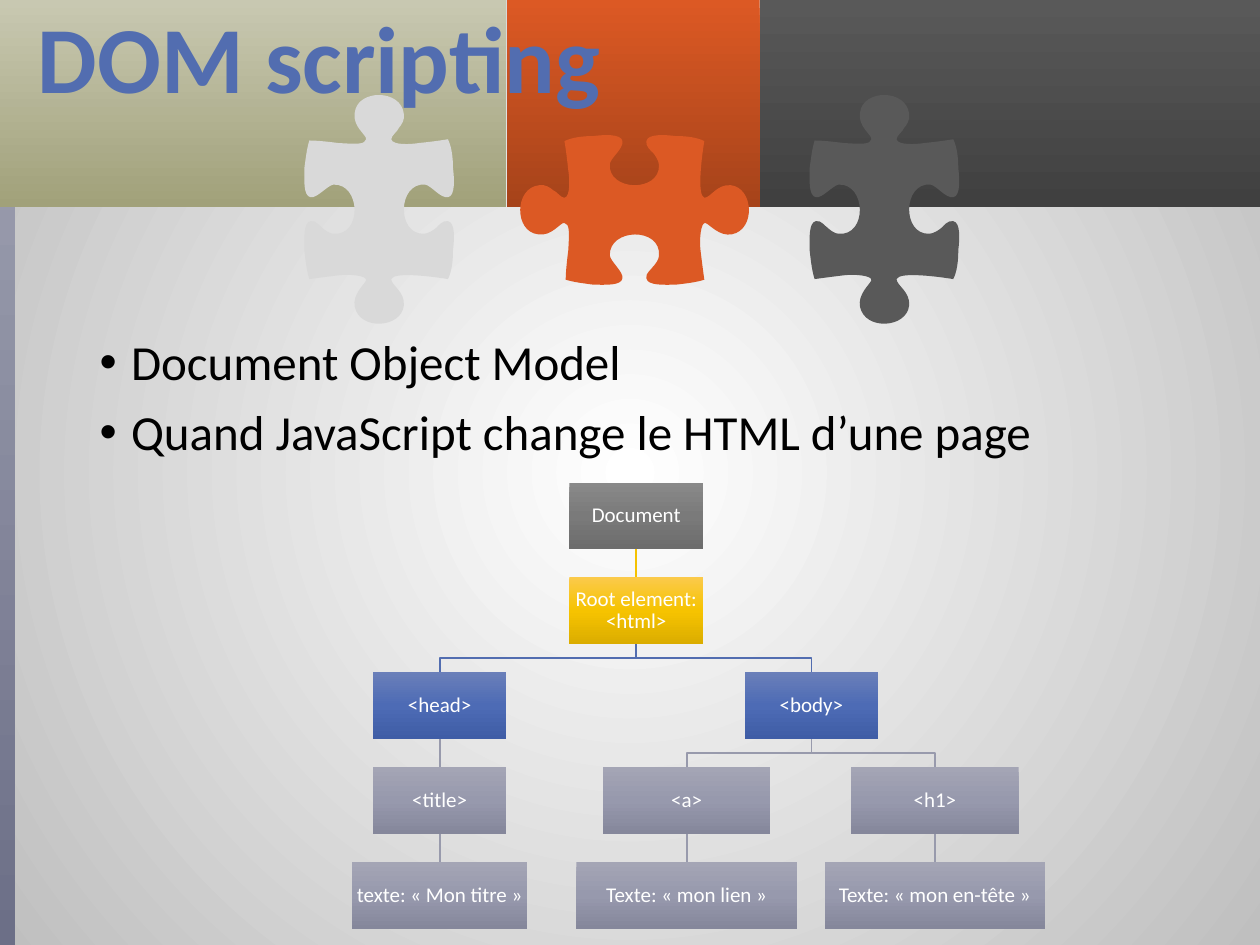
from lxml import etree
from pptx import Presentation
from pptx.dml.color import RGBColor
from pptx.enum.shapes import MSO_SHAPE
from pptx.enum.text import MSO_ANCHOR, MSO_AUTO_SIZE, PP_ALIGN
from pptx.oxml.ns import qn
from pptx.util import Inches, Pt

RECT = MSO_SHAPE.RECTANGLE
MIDDLE = MSO_ANCHOR.MIDDLE
NO_AUTOFIT = MSO_AUTO_SIZE.NONE
LEFT, CENTER = PP_ALIGN.LEFT, PP_ALIGN.CENTER

FONT = "Calibri"
BLACK = RGBColor(0x00, 0x00, 0x00)
WHITE = RGBColor(0xFF, 0xFF, 0xFF)
SILVER = RGBColor(0xBF, 0xBF, 0xBF)
LIGHT_GRAY = RGBColor(0xD9, 0xD9, 0xD9)
DARK_GRAY = RGBColor(0x59, 0x59, 0x59)
CHARCOAL = RGBColor(0x40, 0x40, 0x40)
ORANGE = RGBColor(0xDC, 0x59, 0x24)
RUST = RGBColor(0xA6, 0x43, 0x1A)
SAND = RGBColor(0xC8, 0xC8, 0xB1)
OLIVE = RGBColor(0xA1, 0xA1, 0x7A)
SLATE = RGBColor(0x6C, 0x6F, 0x87)
LIGHT_SLATE = RGBColor(0xA2, 0xA4, 0xB4)
BLUE = RGBColor(0x52, 0x6D, 0xB0)
GOLD = RGBColor(0xF5, 0xC2, 0x01)
MAUVE = RGBColor(0x98, 0x9A, 0xAC)

GRAY_STOPS = (RGBColor(0x89, 0x89, 0x89), RGBColor(0x7A, 0x7A, 0x7A), RGBColor(0x6C, 0x6C, 0x6C))
GOLD_STOPS = (RGBColor(0xFB, 0xCA, 0x4B), RGBColor(0xF6, 0xC3, 0x00), RGBColor(0xDB, 0xAD, 0x00))
BLUE_STOPS = (RGBColor(0x6A, 0x7F, 0xB9), RGBColor(0x4D, 0x6B, 0xB5), RGBColor(0x3F, 0x5D, 0xA6))
MAUVE_STOPS = (RGBColor(0xA4, 0xA5, 0xB5), RGBColor(0x97, 0x99, 0xAD), RGBColor(0x85, 0x87, 0x9B))
LEVEL_STOPS = (GRAY_STOPS, GOLD_STOPS, BLUE_STOPS, MAUVE_STOPS, MAUVE_STOPS)
LEVEL_LINES = (None, GOLD, BLUE, MAUVE, MAUVE)

BANNER_H = 1.64
TREE_TOP, LAST_ROW_TOP, BOX_H = 3.83, 6.84, 0.53
ROW_PITCH = (LAST_ROW_TOP - TREE_TOP) / 4
LINK_W = 0.1
NODES = {
    "document": ("Document", 0, 5.05, 1.06, None),
    "html": ("Root element:\v<html>", 1, 5.05, 1.06, "document"),
    "head": ("<head>", 2, 3.49, 1.06, "html"),
    "title": ("<title>", 3, 3.49, 1.06, "head"),
    "title text": ("texte: « Mon titre »", 4, 3.49, 1.39, "title"),
    "body": ("<body>", 2, 6.44, 1.06, "html"),
    "a": ("<a>", 3, 5.45, 1.33, "body"),
    "a text": ("Texte: « mon lien »", 4, 5.45, 1.75, "a"),
    "h1": ("<h1>", 3, 7.42, 1.33, "body"),
    "h1 text": ("Texte: « mon en-tête »", 4, 7.42, 1.75, "h1"),
}

PIECE_START = (5.59, 1.12)
PIECE_CURVES = [
    (5.57, 1.24, 5.53, 1.55, 5.59, 1.57), (5.64, 1.57, 5.69, 1.46, 5.8, 1.47),
    (5.98, 1.49, 6, 1.82, 5.81, 1.86), (5.71, 1.88, 5.63, 1.78, 5.6, 1.77),
    (5.56, 1.76, 5.55, 1.91, 5.56, 1.99), (5.57, 2.07, 5.58, 2.15, 5.59, 2.22),
    (5.53, 2.24, 5.45, 2.25, 5.36, 2.26), (5.28, 2.26, 5.14, 2.27, 5.13, 2.21),
    (5.12, 2.17, 5.17, 2.14, 5.18, 2.12), (5.2, 2.1, 5.23, 2.06, 5.23, 2.03),
    (5.25, 1.8, 4.83, 1.81, 4.84, 2.03), (4.85, 2.08, 4.95, 2.16, 4.94, 2.21),
    (4.93, 2.27, 4.8, 2.26, 4.71, 2.26), (4.64, 2.25, 4.55, 2.24, 4.49, 2.22),
    (4.49, 2.16, 4.5, 2.07, 4.51, 1.99), (4.52, 1.83, 4.52, 1.78, 4.48, 1.77),
    (4.45, 1.76, 4.38, 1.88, 4.27, 1.86), (4.08, 1.84, 4.08, 1.49, 4.28, 1.47),
    (4.32, 1.46, 4.37, 1.49, 4.39, 1.51), (4.42, 1.52, 4.45, 1.57, 4.48, 1.57),
    (4.53, 1.56, 4.52, 1.41, 4.51, 1.35), (4.5, 1.25, 4.49, 1.18, 4.48, 1.12),
    (4.54, 1.09, 4.63, 1.08, 4.71, 1.08), (4.79, 1.07, 4.93, 1.06, 4.94, 1.12),
    (4.95, 1.18, 4.85, 1.25, 4.84, 1.3), (4.82, 1.52, 5.24, 1.53, 5.23, 1.31),
    (5.23, 1.28, 5.2, 1.23, 5.18, 1.21), (5.17, 1.2, 5.12, 1.16, 5.13, 1.12),
    (5.14, 1.06, 5.28, 1.07, 5.36, 1.08), (5.45, 1.08, 5.53, 1.09, 5.59, 1.12),
]


def set_stops(root, colors):
    stops = next(root.iter(qn("a:gsLst")))
    for gs in list(stops):
        stops.remove(gs)
    for i, color in enumerate(colors):
        gs = etree.SubElement(stops, qn("a:gs"), pos=str(100000 * i // (len(colors) - 1)))
        etree.SubElement(gs, qn("a:srgbClr"), val=str(color))
    return stops.getparent()


def paint_background(slide):
    slide.background.fill.gradient()
    grad = set_stops(slide.element, (WHITE, SILVER))
    grad.remove(grad.find(qn("a:lin")))
    radial = etree.SubElement(grad, qn("a:path"), {"path": "circle"})
    etree.SubElement(radial, qn("a:fillToRect"), l="50000", t="50000", r="50000", b="50000")


def add_panel(shapes, x, y, w, h, colors):
    sp = shapes.add_shape(RECT, Inches(x), Inches(y), Inches(w), Inches(h))
    sp.shadow.inherit = False
    sp.line.fill.background()
    sp.fill.gradient()
    sp.fill.gradient_angle = 270
    set_stops(sp.element, colors)
    return sp


def add_outline(shapes, points, close):
    start, *rest = [(Inches(x), Inches(y)) for x, y in points]
    builder = shapes.build_freeform(*start)
    builder.add_line_segments(rest, close=close)
    sp = builder.convert_to_shape()
    sp.shadow.inherit = False
    return sp


def bend_segments(sp):
    segments = list(sp.element.iter(qn("a:lnTo")))
    for i in range(0, len(segments), 3):
        curve = etree.Element(qn("a:cubicBezTo"))
        segments[i].addprevious(curve)
        for segment in segments[i:i + 3]:
            curve.append(segment[0])
            segment.getparent().remove(segment)


def add_puzzle_piece(shapes, shift, rotation, color):
    points = [PIECE_START] + [c[i:i + 2] for c in PIECE_CURVES for i in (0, 2, 4)]
    sp = add_outline(shapes, points, True)
    bend_segments(sp)
    sp.left += Inches(shift)
    sp.rotation = rotation
    sp.fill.solid()
    sp.fill.fore_color.rgb = color
    sp.line.fill.background()


def format_paragraph(p, size, color, align):
    p.alignment = align
    p.line_spacing = 0.9
    p.font.name = FONT
    p.font.size = Pt(size)
    p.font.color.rgb = color


def fill_placeholder(slide, sp, box, lines, size, color):
    sp.left, sp.top, sp.width, sp.height = (Inches(v) for v in box)
    slide.shapes.element.append(sp.element)
    tf = sp.text_frame
    tf.auto_size = NO_AUTOFIT
    tf.text = "\n".join(lines)
    for p in tf.paragraphs:
        format_paragraph(p, size, color, LEFT)
    return tf


def add_bullets(slide, lines):
    body = slide.placeholders[1]
    tf = fill_placeholder(slide, body, (0.69, 2.63, 8.62, 4.13), lines, 28, BLACK)
    for p in tf.paragraphs:
        p.space_before = Pt(10)
    for pPr in body.element.iter(qn("a:pPr")):
        pPr.set("marL", str(Inches(0.25)))
        pPr.set("indent", str(-Inches(0.25)))
        bullet = etree.Element(qn("a:buChar"), char="•")
        pPr.find(qn("a:defRPr")).addprevious(bullet)


def row_top(level):
    return TREE_TOP + level * ROW_PITCH


def widen_vertical(sp):
    outline = next(sp.element.iter(qn("a:pathLst")))[0]
    outline.set("w", str(Inches(LINK_W)))
    for pt in outline.iter(qn("a:pt")):
        pt.set("x", str(Inches(LINK_W / 2)))
    sp.left -= Inches(LINK_W / 2)
    sp.width = Inches(LINK_W)


def add_link(shapes, parent, child):
    level, x1, x2 = child[1], parent[2], child[2]
    y1, y2 = row_top(level - 1) + BOX_H, row_top(level)
    mid = (y1 + y2) / 2
    elbow = [(x1, mid), (x2, mid)] if x1 != x2 else []
    sp = add_outline(shapes, [(x1, y1), *elbow, (x2, y2)], False)
    if not elbow:
        widen_vertical(sp)
    sp.fill.background()
    sp.line.color.rgb = LEVEL_LINES[level]
    sp.line.width = Pt(1)


def add_node(shapes, node):
    label, level, center, width, _ = node
    sp = add_panel(shapes, center - width / 2, row_top(level), width, BOX_H, LEVEL_STOPS[level])
    tf = sp.text_frame
    tf.word_wrap = True
    tf.vertical_anchor = MIDDLE
    tf.margin_left = tf.margin_right = tf.margin_top = tf.margin_bottom = Inches(0.01)
    p = tf.paragraphs[0]
    p.text = label
    format_paragraph(p, 12, WHITE, CENTER)


def main():
    prs = Presentation()
    prs.slide_width, prs.slide_height = Inches(10), Inches(7.5)
    slide = prs.slides.add_slide(prs.slide_layouts[1])
    shapes = slide.shapes
    paint_background(slide)
    add_panel(shapes, 0, 0, 0.12, 7.5, (SLATE, LIGHT_SLATE)).rotation = 180
    for x, w, colors in ((0, 4.02, (SAND, OLIVE)), (4.02, 2.01, (ORANGE, RUST)),
                         (6.03, 3.97, (DARK_GRAY, CHARCOAL))):
        add_panel(shapes, x, 0, w, BANNER_H, colors)
    for shift, rotation, color in ((-2.03, 90, LIGHT_GRAY), (0, 0, ORANGE), (1.98, 90, DARK_GRAY)):
        add_puzzle_piece(shapes, shift, rotation, color)

    tf = fill_placeholder(slide, shapes.title, (0.2, 0.05, 9.61, 0.9), ["DOM scripting"], 54, BLUE)
    tf.vertical_anchor = MIDDLE
    tf.paragraphs[0].font.bold = True
    add_bullets(slide, ["Document Object Model", "Quand JavaScript change le HTML d’une page"])

    tree = shapes.add_group_shape().shapes
    for node in NODES.values():
        if node[4]:
            add_link(tree, NODES[node[4]], node)
    for node in NODES.values():
        add_node(tree, node)
    prs.save("out.pptx")


if __name__ == "__main__":
    main()
